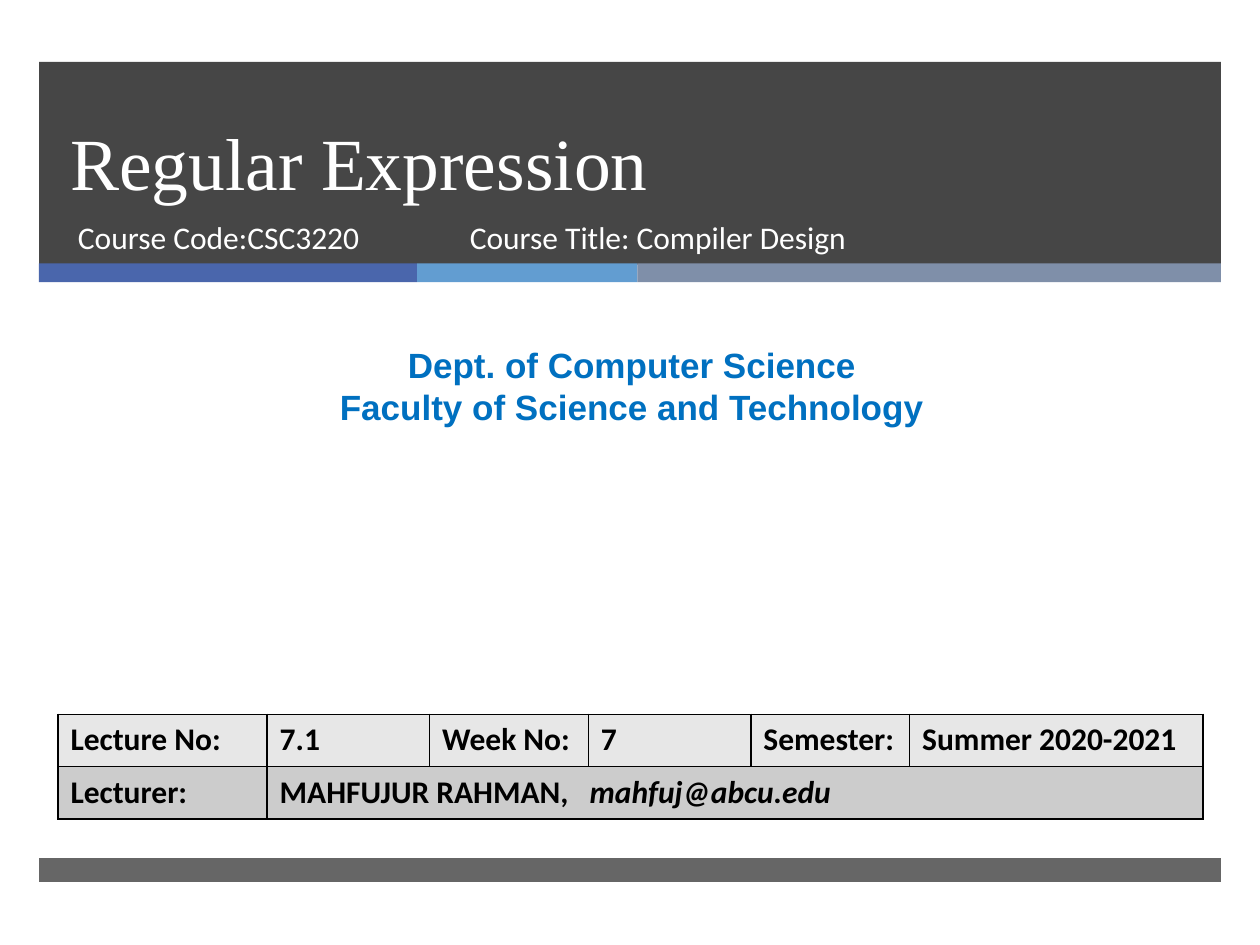
from lxml import etree
from pptx import Presentation
from pptx.dml.color import RGBColor
from pptx.enum import shapes, text
from pptx.oxml import parse_xml
from pptx.oxml.ns import nsdecls, qn
from pptx.util import Inches, Pt

LEFT, WIDTH = 0.31, 9.38
DARK = "262626"

# left, top, width, height, colour, opacity in percent
BANDS = [(LEFT, 0.49, WIDTH, 1.61, DARK, 85), (LEFT, 6.81, WIDTH, 0.19, DARK, 70)]
STRIPE_TOP, STRIPE_HEIGHT = 2.09, 0.15
STRIPES = [(3, "4A66AC"), (1.75, "629DD1"), (4.63, "7F8FA9")]

TITLE = dict(name="Times New Roman", size=Pt(42), color="FFFFFF")
COURSE = dict(name="Calibri", size=Pt(18), color="FFFFFF")
DEPARTMENT = dict(name="Arial", size=Pt(20), color="0070C0", bold=True)
CELL = dict(name="Calibri", size=Pt(18), color="000000", bold=True)

# box, lines, font, paragraph format, anchor
TEXTS = [
    ((0.46, 0.49, 8.54, 1.19), ["Regular Expression"], TITLE,
     dict(line_spacing=Pt(46)), text.MSO_ANCHOR.BOTTOM),
    ((0.52, 1.68, 3.05, 0.53), ["Course Code:CSC3220"], COURSE, {}, text.MSO_ANCHOR.TOP),
    ((3.63, 1.68, 4.55, 0.53), ["Course Title: Compiler Design"], COURSE, {},
     text.MSO_ANCHOR.TOP),
    ((0.08, 2.68, 9.87, 0.77),
     ["Dept. of Computer Science", "Faculty of Science and Technology"], DEPARTMENT,
     dict(alignment=text.PP_ALIGN.CENTER), text.MSO_ANCHOR.TOP),
]

TABLE_BOX = (0.46, 5.67, 9.09, 0.83)
COLUMNS = [1.66, 1.29, 1.26, 1.29, 1.26, 2.33]
ROWS = [
    ("E7E7E7", ["Lecture No:", "7.1", "Week No:", "7", "Semester:", "Summer 2020-2021"]),
    ("CCCCCC", ["Lecturer:", "MAHFUJUR RAHMAN,"]),
]
EMAIL, EMAIL_TAB = "mahfuj@abcu.edu", 2.46


def rgb(value):
    """Turn a hex string into a colour."""
    return RGBColor.from_string(value)


def inches(box):
    """Convert a sequence of numbers to lengths."""
    return [Inches(v) for v in box]


def apply(target, values):
    """Set attributes from a dict of format values."""
    for key, value in values.items():
        if key == "color":
            target.color.rgb = rgb(value)
        else:
            setattr(target, key, value)


def add_run(p, words, font):
    """Append a formatted run to a paragraph."""
    r = p.add_run()
    r.text = words
    apply(r.font, font)


def add_band(slide, box, color, opacity=100):
    """Draw a plain filled rectangle."""
    sp = slide.shapes.add_shape(shapes.MSO_SHAPE.RECTANGLE, *inches(box))
    sp.shadow.inherit = False
    sp.line.fill.background()
    sp.fill.solid()
    sp.fill.fore_color.rgb = rgb(color)
    if opacity < 100:
        clr = sp.fill._xPr.find(".//" + qn("a:srgbClr"))
        etree.SubElement(clr, qn("a:alpha"), val=str(opacity * 1000))


def add_text(slide, box, lines, font, layout, anchor):
    """Place a wrapped text box with one paragraph per line."""
    tf = slide.shapes.add_textbox(*inches(box)).text_frame
    apply(tf, dict(word_wrap=True, vertical_anchor=anchor))
    for i, line in enumerate(lines):
        p = tf.add_paragraph() if i else tf.paragraphs[0]
        apply(p, layout)
        add_run(p, line, font)


def style_cell(cell, color):
    """Give a cell thin black borders and a solid fill."""
    tc_pr = cell._tc.get_or_add_tcPr()
    for side in "LRTB":
        tc_pr.append(parse_xml(
            f'<a:ln{side} {nsdecls("a")} w="{Pt(1)}"><a:solidFill>'
            f'<a:srgbClr val="000000"/></a:solidFill></a:ln{side}>'))
    cell.fill.solid()
    cell.fill.fore_color.rgb = rgb(color)


def add_details(slide):
    """Build the lecture table with its merged lecturer cell."""
    table = slide.shapes.add_table(len(ROWS), len(COLUMNS), *inches(TABLE_BOX)).table
    for column, width in zip(table.columns, COLUMNS):
        column.width = Inches(width)
    for i, (color, words) in enumerate(ROWS):
        for j in range(len(COLUMNS)):
            style_cell(table.cell(i, j), color)
        for j, word in enumerate(words):
            add_run(table.cell(i, j).text_frame.paragraphs[0], word, CELL)
    lecturer = table.cell(1, 1)
    lecturer.merge(table.cell(1, len(COLUMNS) - 1))
    p = lecturer.text_frame.paragraphs[0]
    tabs = etree.SubElement(p._p.get_or_add_pPr(), qn("a:tabLst"))
    etree.SubElement(tabs, qn("a:tab"), pos=str(Inches(EMAIL_TAB)), algn="l")
    add_run(p, "\t" + EMAIL, {**CELL, "italic": True})


prs = Presentation()
prs.slide_width, prs.slide_height = Inches(10), Inches(7.5)
slide = prs.slides.add_slide(prs.slide_layouts[6])

for *box, color, opacity in BANDS:
    add_band(slide, box, color, opacity)
x = LEFT
for width, color in STRIPES:
    add_band(slide, (x, STRIPE_TOP, width, STRIPE_HEIGHT), color)
    x += width
for item in TEXTS:
    add_text(slide, *item)
add_details(slide)

prs.save("out.pptx")
